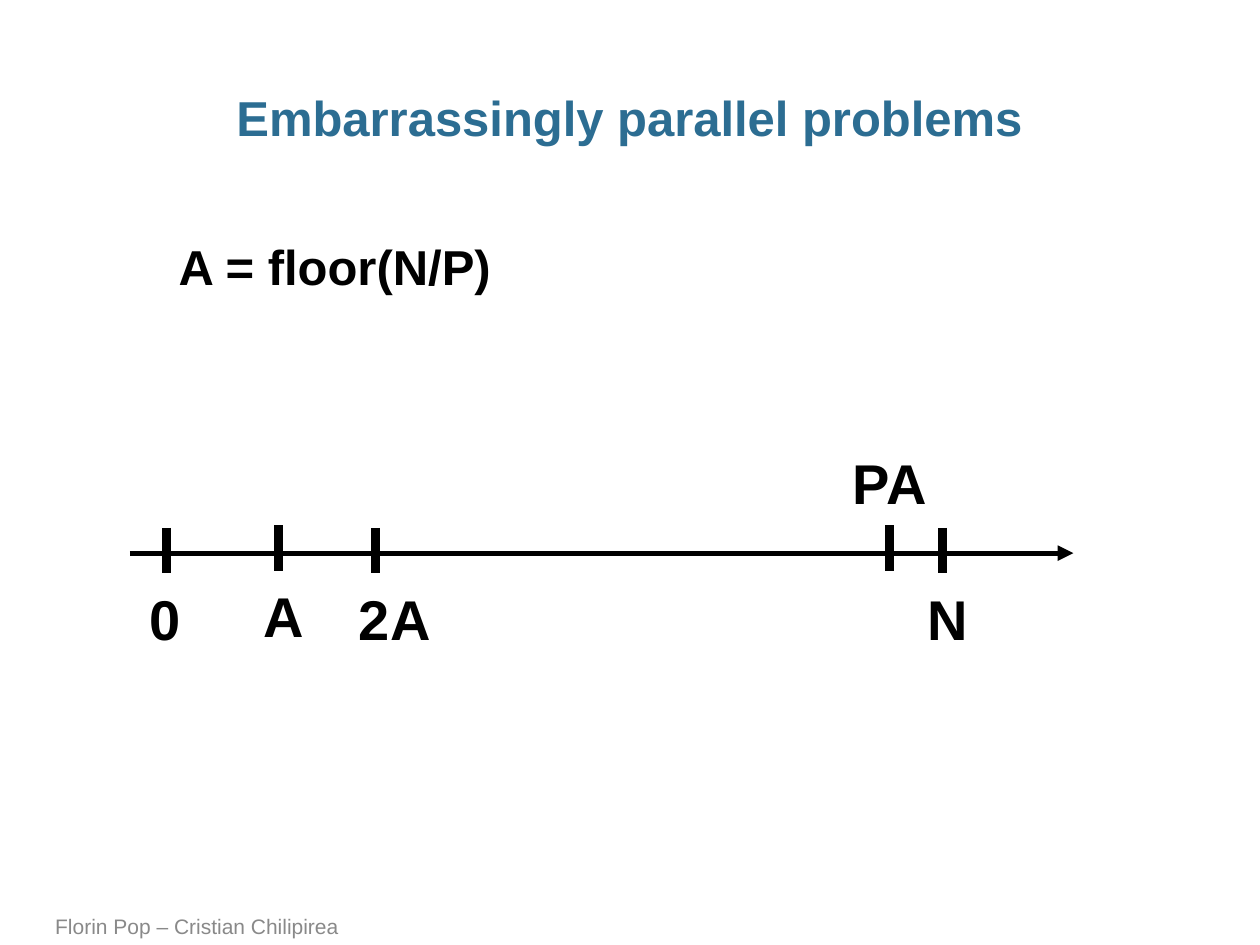
import pptx
import pptx.util
import pptx.dml.color
import pptx.enum.shapes
import pptx.enum.text
import pptx.oxml
import pptx.oxml.ns
import lxml.etree

Pt = pptx.util.Pt
RGBColor = pptx.dml.color.RGBColor
Anchor = pptx.enum.text.MSO_ANCHOR
AutoSize = pptx.enum.text.MSO_AUTO_SIZE

BLUE = RGBColor(0x2C, 0x6D, 0x92)
BLACK = RGBColor(0, 0, 0)
GRAY = RGBColor(0x89, 0x89, 0x89)
FONT = "Arial"

TITLE = "Embarrassingly parallel problems"
FORMULA = "A = floor(N/P)"
FOOTER = "Florin Pop – Cristian Chilipirea"

AXIS_START, AXIS_END, AXIS_Y = 74.2, 613.4, 316.1
TICK_HEIGHT = 25.9
LABEL_HEIGHT = 46.1
LABEL_DROP = 28.8
# label, tick x, tick top, label left, label top, label width
TICKS = [
    ("0", 95, 301.7, 78.5, 301.7 + LABEL_DROP, 32.4),
    ("A", 159.1, 300.2, 143.3, 300.2 + LABEL_DROP, 38.2),
    ("2A", 214.6, 301.7, 198, 301.7 + LABEL_DROP, 56.2),
    ("PA", 508.3, 300.2, 480.2, 252.7, 56.9),
    ("N", 538.6, 301.7, 522.7, 301.7 + LABEL_DROP, 38.2),
]


def format_text(text_frame, size, color, bold):
    font = text_frame.paragraphs[0].runs[0].font
    font.name = FONT
    font.size = Pt(size)
    font.bold = bold
    font.color.rgb = color


def add_text(slide, text, left, top, width, height, size, color=BLACK, bold=True):
    text_frame = slide.shapes.add_textbox(Pt(left), Pt(top), Pt(width), Pt(height)).text_frame
    text_frame.text = text
    text_frame.word_wrap = False
    text_frame.auto_size = AutoSize.SHAPE_TO_FIT_TEXT
    format_text(text_frame, size, color, bold)
    return text_frame


def add_line(slide, start_x, start_y, end_x, end_y, width):
    connector = slide.shapes.add_connector(
        pptx.enum.shapes.MSO_CONNECTOR.STRAIGHT, Pt(start_x), Pt(start_y), Pt(end_x), Pt(end_y))
    connector.line.color.rgb = BLACK
    connector.line.width = Pt(width)
    properties = connector._element.spPr
    lxml.etree.SubElement(properties, pptx.oxml.ns.qn("a:effectLst"))
    return connector


def main():
    presentation = pptx.Presentation()
    presentation.slide_width, presentation.slide_height = Pt(720), Pt(540)
    slide = presentation.slides.add_slide(presentation.slide_layouts[5])

    title = slide.shapes.title
    title.left, title.top, title.width, title.height = Pt(24.5), Pt(49), Pt(670.3), Pt(36)
    text_frame = title.text_frame
    text_frame.text = TITLE
    text_frame.auto_size = AutoSize.NONE
    text_frame.vertical_anchor = Anchor.TOP
    text_frame.margin_left = text_frame.margin_right = 0
    text_frame.margin_top = text_frame.margin_bottom = Pt(3.6)
    text_frame.paragraphs[0].alignment = pptx.enum.text.PP_ALIGN.CENTER
    text_frame.paragraphs[0].line_spacing = 0.95
    format_text(text_frame, 28, BLUE, True)

    footer = add_text(slide, FOOTER, 24.5, 519.8, 530.6, 20.2, 12, GRAY, False)
    footer.word_wrap = True
    footer.auto_size = AutoSize.NONE
    footer.vertical_anchor = Anchor.BOTTOM

    add_text(slide, FORMULA, 95, 131.8, 203, 41, 28)

    axis = add_line(slide, AXIS_START, AXIS_Y, AXIS_END, AXIS_Y, 3)
    outline = axis.line._get_or_add_ln()
    lxml.etree.SubElement(outline, pptx.oxml.ns.qn("a:tailEnd"), type="triangle")

    for label, x, tick_top, label_left, label_top, label_width in TICKS:
        add_line(slide, x, tick_top, x, tick_top + TICK_HEIGHT, 5)
        add_text(slide, label, label_left, label_top, label_width, LABEL_HEIGHT, 32)

    presentation.save("out.pptx")


if __name__ == "__main__":
    main()
